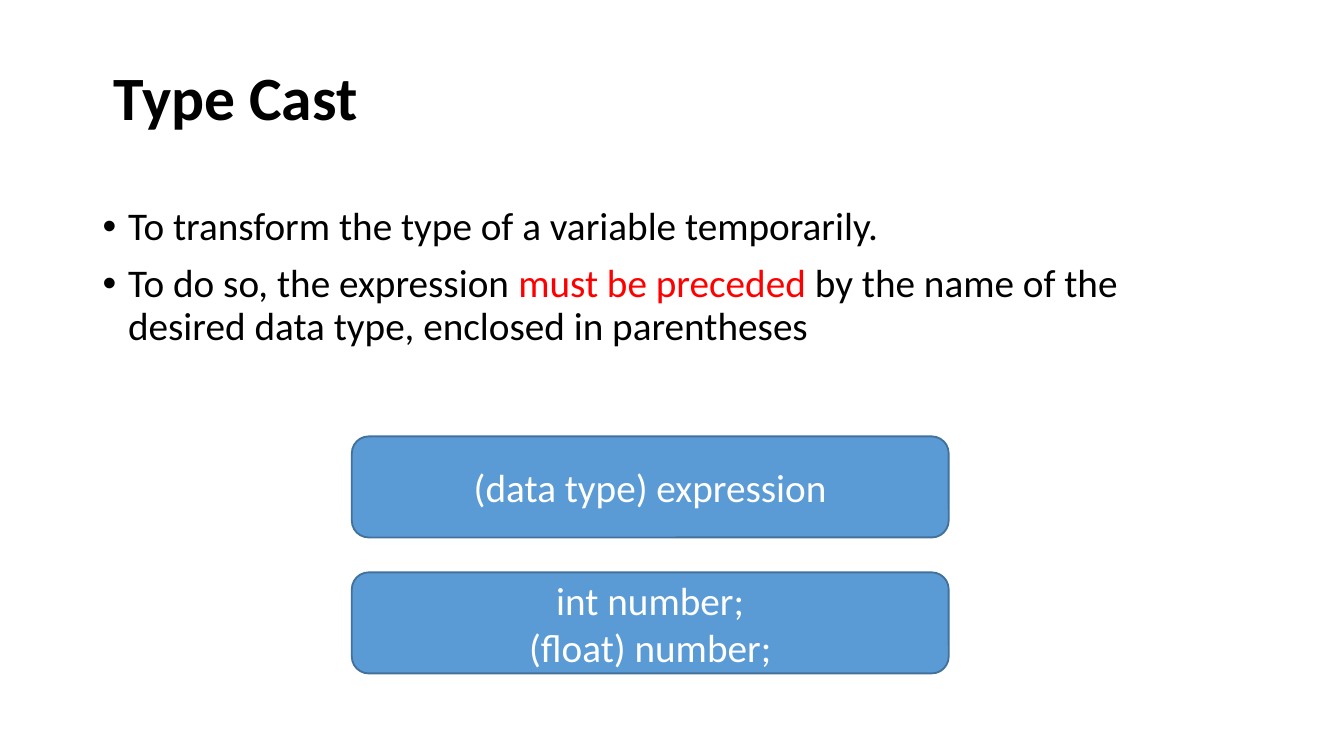
from lxml import etree
from pptx import Presentation
from pptx.dml.color import RGBColor
from pptx.enum.shapes import MSO_SHAPE
from pptx.enum.text import MSO_ANCHOR, MSO_AUTO_SIZE, PP_ALIGN
from pptx.oxml.ns import qn
from pptx.util import Cm, Pt

ROUNDED = MSO_SHAPE.ROUNDED_RECTANGLE
TOP, MIDDLE = MSO_ANCHOR.TOP, MSO_ANCHOR.MIDDLE
LEFT, CENTER = PP_ALIGN.LEFT, PP_ALIGN.CENTER
NO_FIT = MSO_AUTO_SIZE.NONE

FONT = "Calibri"
COLORS = {
    "text": "000000",
    "accent": "FF0000",
    "box": "5B9BD5",
    "outline": "42719B",
    "box_text": "FFFFFF",
}


def color(name):
    return RGBColor.from_string(COLORS[name])


def add_run(p, text, size=21, bold=False, fill="text"):
    r = p.add_run()
    r.text = text
    r.font.name = FONT
    r.font.size = Pt(size)
    r.font.bold = bold
    r.font.color.rgb = color(fill)


def add_paragraph(tf, index, runs, align=LEFT, line=1.0, before=0, **fmt):
    """Write a paragraph of (text, colour name) runs."""
    p = tf.paragraphs[0] if index == 0 else tf.add_paragraph()
    p.alignment = align
    p.line_spacing = line
    p.space_before = Pt(before)
    for text, fill in runs:
        add_run(p, text, fill=fill, **fmt)
    return p


def set_bullet(p, char="•", indent=Cm(0.48)):
    pPr = p._p.get_or_add_pPr()
    pPr.set("marL", str(indent))
    pPr.set("indent", str(-indent))
    bu_color = etree.SubElement(pPr, qn("a:buClr"))
    etree.SubElement(bu_color, qn("a:srgbClr"), val=COLORS["text"])
    etree.SubElement(pPr, qn("a:buFont"), typeface="Arial")
    etree.SubElement(pPr, qn("a:buChar"), char=char)


def format_frame(tf, anchor):
    tf.word_wrap = True
    tf.auto_size = NO_FIT
    tf.vertical_anchor = anchor
    tf.margin_left = tf.margin_right = Cm(0.19)
    tf.margin_top = tf.margin_bottom = Cm(0.1)


def place(sp, left, top, width, height):
    sp.left, sp.top = Cm(left), Cm(top)
    sp.width, sp.height = Cm(width), Cm(height)


def fill_title(sp, text):
    place(sp, 1.96, 0.84, 17.15, 2.13)
    format_frame(sp.text_frame, MIDDLE)
    add_paragraph(sp.text_frame, 0, [(text, "text")], line=0.9, size=33, bold=True)


def fill_body(sp, items):
    place(sp, 1.75, 3.81, 21.9, 9.07)
    format_frame(sp.text_frame, TOP)
    for i, runs in enumerate(items):
        p = add_paragraph(sp.text_frame, i, runs, line=0.9, before=8 if i else 0)
        set_bullet(p)


def add_code_box(s, top, lines):
    sp = s.shapes.add_shape(ROUNDED, Cm(6.65), Cm(top), Cm(11.28), Cm(1.91))
    sp.shadow.inherit = False
    sp.fill.solid()
    sp.fill.fore_color.rgb = color("box")
    sp.line.color.rgb = color("outline")
    sp.line.width = Pt(1)
    format_frame(sp.text_frame, MIDDLE)
    for i, line in enumerate(lines):
        add_paragraph(sp.text_frame, i, [(line, "box_text")], align=CENTER)


def main():
    prs = Presentation()
    prs.slide_width, prs.slide_height = Cm(25.4), Cm(14.29)
    s = prs.slides.add_slide(prs.slide_layouts[1])

    # Title and explanation
    fill_title(s.shapes.title, "Type Cast")
    fill_body(s.placeholders[1], [
        [("To transform the type of a variable temporarily.", "text")],
        [("To do so, the expression ", "text"),
         ("must be preceded", "accent"),
         (" by the name of the desired data type, enclosed in parentheses", "text")],
    ])

    # Syntax and example boxes
    boxes = [["(data type) expression"], ["int number;", "(float) number;"]]
    for i, lines in enumerate(boxes):
        add_code_box(s, 8.25 + i * 2.57, lines)

    prs.save("out.pptx")


if __name__ == "__main__":
    main()
